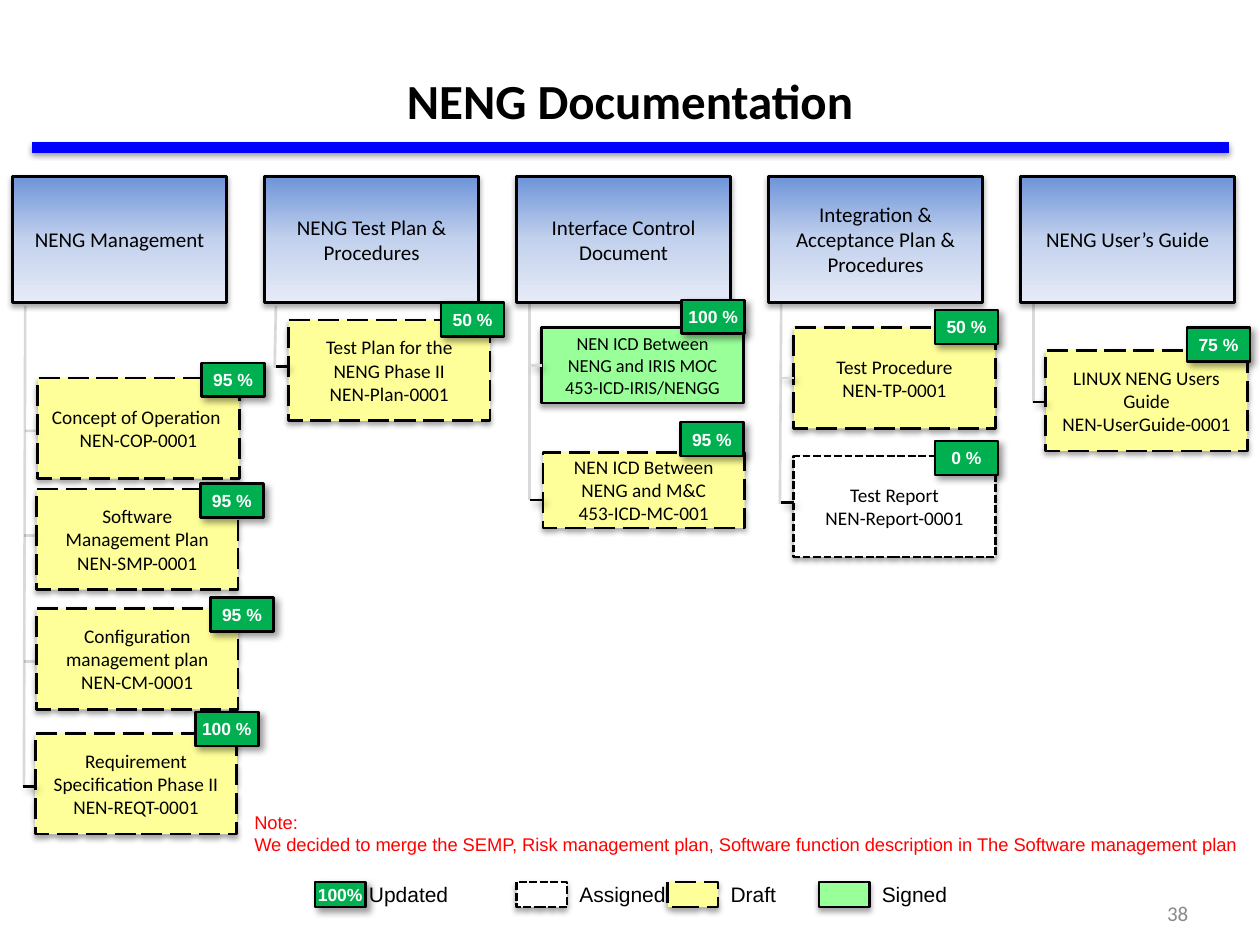
from copy import deepcopy
from lxml.etree import SubElement
from pptx import Presentation
from pptx.dml.color import RGBColor
from pptx.enum.dml import MSO_LINE as DASH
from pptx.enum.shapes import MSO_CONNECTOR as CONN, MSO_SHAPE as SHAPE
from pptx.enum.text import MSO_ANCHOR as ANCHOR, PP_ALIGN as ALIGN
from pptx.oxml.ns import qn
from pptx.util import Pt

PX = 9144
SOFT = (35, 3.15, 1.8, 90)
RULE = (38, 3.15, 1.6, 90)
DEEP = (40, 4, 3, 45)
GRADIENT = [(0, "6D94D8"), (0.5, "C2D1ED"), (1, "E6EBF7")]
STYLES = {
    "draft": ("FFFF99", DASH.LONG_DASH),
    "assigned": ("FFFFFF", DASH.SQUARE_DOT),
    "signed": ("99FF99", None),
}
STUBS = {"black": ("000000", None), "grey": ("D9D9D9", None), "faint": ("000000", 15)}
COLUMNS = [
    ("NENG Management", (20, 243, 19, 625), [
        (30, 300, 80, 11, "draft", ["Concept of Operation ", "NEN-COP-0001"],
         160, 288, "95 %", 342, "faint"),
        (29, 388, 80, 11, "draft", ["Software Management Plan", "NEN-SMP-0001"],
         159, 384, "95 %", 425, "faint"),
        (29, 483, 80, 11, "draft", ["Configuration management plan", "NEN-CM-0001"],
         167, 474, "95 %", 525, "faint"),
        (28, 582, 80, 11, "draft", ["Requirement Specification Phase II", "NEN-REQT-0001"],
         155, 565, "100 %", 624, "black"),
    ]),
    ("NENG Test Plan & Procedures", (219, 243, 218, 292), [
        (229, 254, 80, 11, "draft", ["Test Plan for the NENG Phase II", "NEN-Plan-0001"],
         350, 240, "50 %", 291, "black"),
    ]),
    ("Interface Control Document", (420, 240, 420, 397), [
        (430, 260, 60, 10.5, "signed",
         ["NEN ICD Between NENG and IRIS MOC", "453-ICD-IRIS/NENGG"],
         541, 238, "100 %", 290, "grey"),
        (431, 359, 60, 11, "draft", ["NEN ICD Between NENG and M&C", "453-ICD-MC-001"],
         540, 335, "95 %", 397, "black"),
    ]),
    ("Integration & Acceptance Plan & Procedures", (620, 240, 619, 400), [
        (630, 260, 80, 11, "draft", ["Test Procedure", "NEN-TP-0001"],
         742, 246, "50 %", 300, "grey"),
        (630, 362, 80, 11, "assigned", ["Test Report", "NEN-Report-0001"],
         742, 350, "0 %", 399, "black"),
    ]),
    ("NENG User’s Guide", (820, 240, 820, 320), [
        (830, 278, 80, 11, "draft", ["LINUX NENG Users Guide", "NEN-UserGuide-0001"],
         942, 260, "75 %", 319, "black"),
    ]),
]
LEGEND = [(410, "assigned", 450, "Assigned"), (530, "draft", 570, "Draft"),
          (650, "signed", 690, "Signed")]
NOTE = ["Note:", "We decided to merge the SEMP, Risk management plan, Software function "
        "description in The Software management plan"]


def rgb(value):
    """Turn a hex string into a colour."""
    return RGBColor.from_string(value)


def px(*values):
    """Turn pixel lengths into EMU."""
    return [v * PX for v in values]


def assign(obj, **values):
    """Set each given attribute on an object."""
    for name, value in values.items():
        setattr(obj, name, value)


def add_shadow(sp_pr, shadow):
    """Give shape properties an effect list with an optional outer shadow."""
    effects = sp_pr.find(qn("a:effectLst"))
    if effects is None:
        effects = SubElement(sp_pr, qn("a:effectLst"))
    if shadow:
        opacity, blur, dist, angle = shadow
        outer = SubElement(effects, qn("a:outerShdw"), blurRad=str(Pt(blur)),
                           dist=str(Pt(dist)), dir=str(angle * 60000), rotWithShape="0")
        color = SubElement(outer, qn("a:srgbClr"), val="000000")
        SubElement(color, qn("a:alpha"), val=str(opacity * 1000))


def write(shape, lines, size, font="Calibri", color="000000", bold=False,
          align=ALIGN.CENTER, **frame):
    """Fill a text frame with formatted paragraphs."""
    tf = shape.text_frame
    assign(tf, **{"word_wrap": True, "vertical_anchor": ANCHOR.MIDDLE, **frame})
    for i, text in enumerate(lines):
        p = tf.add_paragraph() if i else tf.paragraphs[0]
        p.alignment = align
        r = p.add_run()
        r.text = text
        assign(r.font, size=Pt(size), name=font, bold=bold)
        r.font.color.rgb = rgb(color)


def add_line(s, ends, color, width=1.5, shadow=None, alpha=None):
    """Draw a straight connector."""
    line = s.shapes.add_connector(CONN.STRAIGHT, *px(*ends))
    line.line.color.rgb = rgb(color)
    line.line.width = Pt(width)
    if alpha:
        for clr in line.line._ln.iter(qn("a:srgbClr")):
            SubElement(clr, qn("a:alpha"), val=str(alpha * 1000))
    add_shadow(line._element.spPr, shadow)


def add_box(s, box, fill=None, dash=None, shadow=SOFT):
    """Draw an outlined rectangle, with the header gradient if no fill is given."""
    sp = s.shapes.add_shape(SHAPE.RECTANGLE, *px(*box))
    if fill:
        sp.fill.solid()
        sp.fill.fore_color.rgb = rgb(fill)
    else:
        sp.fill.gradient()
        sp.fill.gradient_angle = 270
        first = next(sp._element.spPr.iter(qn("a:gs")))
        first.addnext(deepcopy(first))
        for stop, (position, color) in zip(sp.fill.gradient_stops, GRADIENT):
            stop.position = position
            stop.color.rgb = rgb(color)
    sp.line.color.rgb = rgb("000000")
    assign(sp.line, width=Pt(1.5), dash_style=dash)
    sp.shadow.inherit = False
    add_shadow(sp._element.spPr, shadow)
    return sp


def add_badge(s, box, text):
    """Draw a green progress badge."""
    sp = add_box(s, box, "00B050", shadow=DEEP)
    write(sp, [text], 10, "Arial", "FFFFFF", True,
          margin_left=0, margin_right=0, word_wrap=False)


def add_label(s, box, lines, size, font="Arial", color="000000", align=ALIGN.LEFT, **frame):
    """Place a text box."""
    write(s.shapes.add_textbox(*px(*box)), lines, size, font, color, align=align, **frame)


def add_column(s, left, header, trunk, documents):
    """Draw a header with its tree of documents."""
    add_line(s, trunk, "D9D9D9")
    write(add_box(s, (left, 140, 170, 100)), [header], 12)
    for x, y, h, size, status, lines, badge_x, badge_y, progress, stub_y, stub in documents:
        write(add_box(s, (x, y, 160, h), *STYLES[status]), lines, size)
        color, alpha = STUBS[stub]
        add_line(s, (x, stub_y, x - 10, stub_y), color, shadow=DEEP, alpha=alpha)
        add_badge(s, (badge_x, badge_y, 50, 27), progress)


def add_legend(s):
    """Draw the key to badges and box styles."""
    add_badge(s, (250, 700, 40, 20), "100%")
    add_label(s, (283, 685, 90, 50), ["Updated"], 12)
    for x, status, label_x, text in LEGEND:
        add_box(s, (x, 700, 40, 20), *STYLES[status])
        add_label(s, (label_x, 685, 90, 50), [text], 12)


def main():
    """Build and save the slide."""
    prs = Presentation()
    assign(prs, slide_width=1000 * PX, slide_height=750 * PX)
    s = prs.slides.add_slide(prs.slide_layouts[5])
    add_line(s, (25, 117, 975, 117), "0000FF", 6, RULE)
    title = s.shapes.title
    assign(title, **dict(zip(("left", "top", "width", "height"), px(50, 17, 900, 125))))
    write(title, ["NENG Documentation"], 28, bold=True)
    for i, column in enumerate(COLUMNS):
        add_column(s, 10 + 200 * i, *column)
    add_label(s, (192, 639, 817, 45), NOTE, 10.5, color="FF0000",
              word_wrap=False, vertical_anchor=ANCHOR.TOP)
    add_legend(s)
    add_label(s, (720, 705, 233, 40), ["38"], 12, "Calibri", "898989", ALIGN.RIGHT)
    prs.save("out.pptx")


if __name__ == "__main__":
    main()
